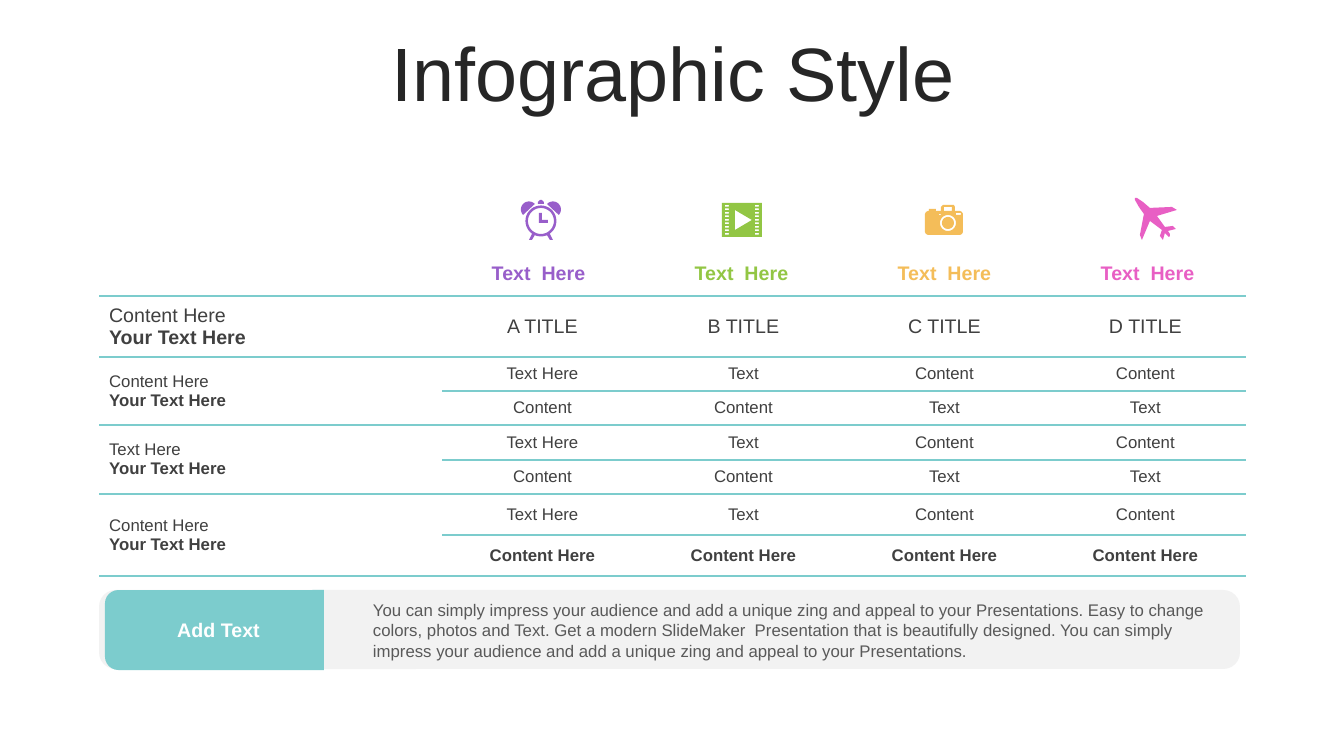
from math import cos, radians, sin

from lxml import etree
from pptx import Presentation
from pptx.dml.color import RGBColor
from pptx.enum.shapes import MSO_SHAPE
from pptx.enum.text import MSO_ANCHOR, PP_ALIGN
from pptx.oxml.ns import qn
from pptx.util import Pt

ROUND, TAB = MSO_SHAPE.ROUNDED_RECTANGLE, MSO_SHAPE.ROUND_2_SAME_RECTANGLE
LEFT, CENTER = PP_ALIGN.LEFT, PP_ALIGN.CENTER
MIDDLE = MSO_ANCHOR.MIDDLE
NO_STYLE = "{2D5ABB26-0587-4C30-8999-92F81FD0307C}"


class Theme:
    face = "Arial"
    title, head, body = 54, 14, 12
    dark, text, soft, white = "262626", "404040", "595959", "FFFFFF"
    teal, pale = "7CCCCD", "F2F2F2"
    icons = ["985ECA", "92C644", "F4BD59", "E85FC4"]
    thick, thin = 2.25, 1.5


COLS = [343] + [201] * 4
ROWS = [61, 34, 34, 35, 34, 41, 41]
FIRST = ["Text Here", "Text", "Content", "Content"]
SECOND = ["Content", "Content", "Text", "Text"]
VALUES = [
    [f"{letter} TITLE" for letter in "ABCD"],
    FIRST, SECOND, FIRST, SECOND, FIRST, ["Content Here"] * 4,
]
GROUPS = {0: "Content Here", 1: "Content Here", 3: "Text Here", 5: "Content Here"}
NOTE = (
    "You can simply impress your audience and add a unique zing and appeal to "
    "your Presentations. Easy to change colors, photos and Text. Get a modern "
    "SlideMaker  Presentation that is beautifully designed. You can simply "
    "impress your audience and add a unique zing and appeal to your Presentations."
)


def px(value):
    return round(value * 914400 / 100.8)


def style(para, size, color, bold=False, align=LEFT):
    para.alignment = align
    font = para.font
    font.name, font.size, font.bold = Theme.face, Pt(size), bold
    font.color.rgb = RGBColor.from_string(color)


def paint(shape, color):
    shape.fill.solid()
    shape.fill.fore_color.rgb = RGBColor.from_string(color)
    shape.line.fill.background()
    shape.shadow.inherit = False


def label(slide, box, text, size, color, bold=False, align=LEFT):
    frame = slide.shapes.add_textbox(*map(px, box)).text_frame
    frame.word_wrap = True
    frame.text = text
    style(frame.paragraphs[0], size, color, bold, align)


def rect(x, y, w, h):
    return [(x, y), (x + w, y), (x + w, y + h), (x, y + h)]


def arc(x, y, r, start=0, end=360):
    turns = [radians(start + (end - start) * i / 36) for i in range(37)]
    return [(x + r * cos(t), y + r * sin(t)) for t in turns]


def clock():
    foot = [(11, 34), (14, 35), (11, 40), (8, 40)]
    return [
        arc(20, 21, 15.5), arc(20, 21, 13),
        [(18, 13), (21, 13), (21, 20), (27, 20), (27, 23), (18, 23)],
        arc(8, 9.5, 8, 137, 317), arc(32, 9.5, 8, 223, 403),
        [(17, 4), (17, 2), (19, 0), (21, 0), (23, 2), (23, 4)],
        foot, [(40 - x, y) for x, y in foot],
    ]


def film():
    holes = [rect(x, 2 + 3.5 * i, 4, 1.7) for i in range(9) for x in (3, 33)]
    return [rect(0, 0, 40, 34), [(13, 7), (13, 27), (30, 17)], *holes]


def camera():
    body = [
        (3, 6), (4, 6), (4, 4), (11, 4), (11, 6), (16, 6), (16, 2), (18, 0),
        (29, 0), (30, 2), (30, 6), (35, 6), (37, 7), (38, 9), (38, 27),
        (37, 29), (35, 30), (3, 30), (1, 29), (0, 27), (0, 9), (1, 7),
    ]
    return [body, arc(23, 18, 8), arc(23, 18, 6), rect(14, 9, 2, 1),
            rect(31, 8, 5, 2), rect(19, 2, 8, 4)]


def plane():
    return [[
        (41, 31), (33, 33), (35, 36), (35, 38), (34, 39), (30, 35), (28, 42),
        (25, 38), (27, 32), (15, 23), (7, 42), (5, 37), (9, 16), (4, 9), (0, 2),
        (0, 0), (2, 0), (8, 4), (15, 10), (37, 9), (42, 12), (22, 18), (30, 29),
        (38, 28),
    ]]


def icon(slide, left, top, loops, color):
    loops = [[(px(left + x), px(top + y)) for x, y in loop] for loop in loops]
    pen = slide.shapes.build_freeform(*loops[0][0])
    for i, loop in enumerate(loops):
        if i:
            pen.move_to(*loop[0])
        pen.add_line_segments(loop[1:], close=True)
    paint(pen.convert_to_shape(), color)


def heads(slide, left, top):
    """Icons with their labels, one above each value column."""
    marks = [(clock, 53, 2), (film, 51, 5), (camera, 51, 7), (plane, 58, 0)]
    for i, (draw, dx, dy) in enumerate(marks):
        x, color = left + 203 * i, Theme.icons[i]
        icon(slide, x + dx, top + dy, draw(), color)
        label(slide, (x, top + 58, 141, 34), "Text  Here",
              Theme.head, color, True, CENTER)


def rule(cell, side, width):
    line = etree.SubElement(cell._tc.get_or_add_tcPr(), qn(f"a:{side}"),
                            w=str(Pt(width)))
    fill = etree.SubElement(line, qn("a:solidFill"))
    etree.SubElement(fill, qn("a:srgbClr"), val=Theme.teal)


def grid(slide, left, top):
    box = map(px, (left, top, sum(COLS), sum(ROWS)))
    table = slide.shapes.add_table(len(ROWS), len(COLS), *box).table
    table.first_row = table.horz_banding = False
    table._tbl.tblPr.find(qn("a:tableStyleId")).text = NO_STYLE
    for col, width in zip(table.columns, COLS):
        col.width = px(width)
    last = len(ROWS) - 1
    for r, (height, values) in enumerate(zip(ROWS, VALUES)):
        table.rows[r].height = px(height)
        size = Theme.body if r else Theme.head
        name = GROUPS.get(r)
        texts = [f"{name}\nYour Text Here" if name else "", *values]
        if r and name:
            table.cell(r, 0).merge(table.cell(r + 1, 0))
        for c, text in enumerate(texts):
            cell = table.cell(r, c)
            cell.text = text
            cell.vertical_anchor = MIDDLE
            for i, para in enumerate(cell.text_frame.paragraphs):
                bold = i == 1 or (r == last and c > 0)
                style(para, size, Theme.text, bold, CENTER if c else LEFT)
            end = r + 1 if cell.is_merge_origin else r
            if not cell.is_spanned:
                rule(cell, "lnT", Theme.thick if r < 2 else Theme.thin)
            rule(cell, "lnB", Theme.thick if end in (0, last) else Theme.thin)
            cell.fill.background()


def banner(slide, left, top, width, height):
    bar = slide.shapes.add_shape(ROUND, *map(px, (left, top, width, height)))
    bar.adjustments[0] = 0.21
    paint(bar, Theme.pale)
    long, short = 219, height + 1
    shift = (long - short) / 2
    tab = slide.shapes.add_shape(
        TAB, *map(px, (left + 6 + shift, top - shift, short, long)))
    tab.rotation = 270
    paint(tab, Theme.teal)
    label(slide, (left + 45, top + 23, 149, 34), "Add Text",
          Theme.head, Theme.white, True, CENTER)
    label(slide, (left + 264, top + 5, 855, 71), NOTE, Theme.body, Theme.soft)


def title(slide, left, top, width, height):
    shape = slide.shapes.title
    shape.left, shape.top, shape.width, shape.height = map(
        px, (left, top, width, height))
    frame = shape.text_frame
    frame.text = "Infographic Style"
    frame.vertical_anchor = MIDDLE
    para = frame.paragraphs[0]
    style(para, Theme.title, Theme.dark, align=CENTER)
    para.line_spacing = 0.9


def main():
    deck = Presentation()
    deck.slide_width, deck.slide_height = px(1344), px(756)
    slide = deck.slides.add_slide(deck.slide_layouts[5])
    title(slide, 35, 37, 1276, 80)
    grid(slide, 99, 296)
    heads(slide, 468, 198)
    banner(slide, 99, 590, 1141, 79)
    deck.save("out.pptx")


if __name__ == "__main__":
    main()
